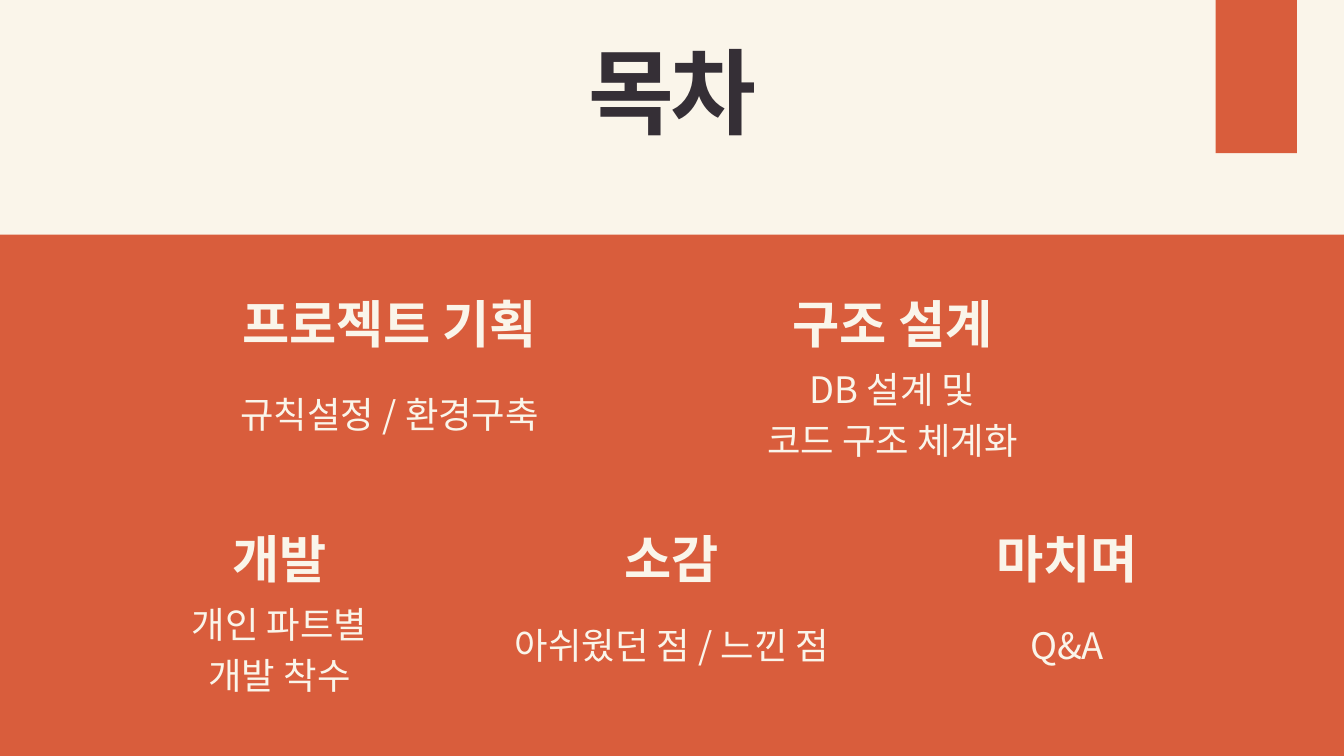
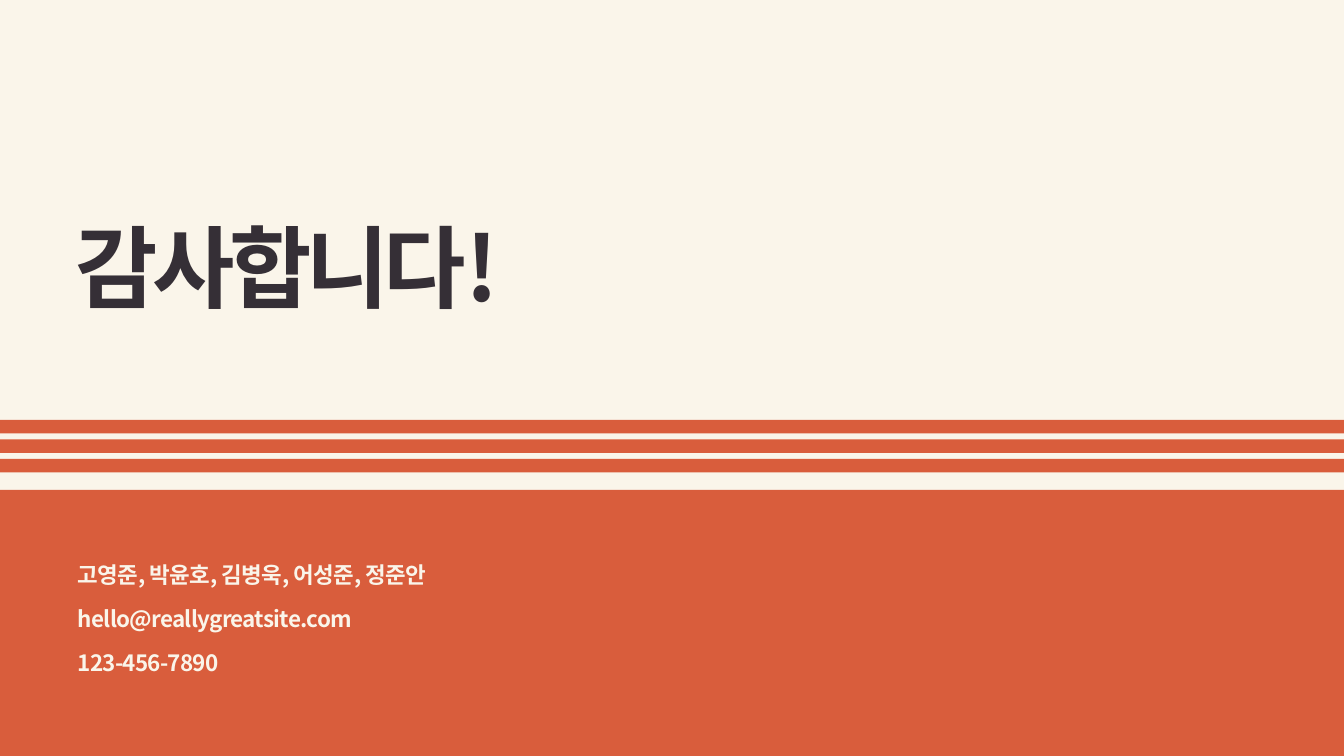
"""Build the contents slide and the closing slide of a project presentation."""
from dataclasses import dataclass

import pptx
import pptx.dml.color
import pptx.enum.shapes
import pptx.enum.text
import pptx.oxml.ns
import pptx.util
from lxml import etree

FONT = "Noto Sans CJK KR"
CREAM, ORANGE, INK = "FAF5EA", "D95D3C", "352F36"
COLS, ROWS = 20, 11.25
CELL = pptx.util.Inches(1)
TITLE_ONLY, TITLE_AND_BODY = 5, 1
CENTER = pptx.enum.text.PP_ALIGN.CENTER
LEFT = pptx.enum.text.PP_ALIGN.LEFT


@dataclass(frozen=True)
class Box:
    """Area in grid columns and rows."""
    col: float
    row: float
    cols: float
    rows: float

    def emu(self) -> list[int]:
        """Return left, top, width and height."""
        return [round(n * CELL) for n in (self.col, self.row, self.cols, self.rows)]


@dataclass(frozen=True)
class Topic:
    """Heading with a note centred below it."""
    center: float
    row: float
    heading: str
    note: tuple[str, ...]
    drop: float = 1.04
    heading_cols: float = 3.92
    note_cols: float = 3.92


UPPER, LOWER = 4.32, 7.81
TOPICS = (
    Topic(5.8, UPPER, "프로젝트 기획", ("규칙설정 / 환경구축",), 1.41, 4.47, 4.47),
    Topic(13.28, UPPER, "구조 설계", ("DB 설계 및", "코드 구조 체계화")),
    Topic(4.16, LOWER, "개발", ("개인 파트별", "개발 착수")),
    Topic(10, LOWER, "소감", ("아쉬웠던 점 / 느낀 점",), 1.36, note_cols=4.82),
    Topic(15.88, LOWER, "마치며", ("Q&A",), 1.36),
)
CONTACTS = ("고영준, 박윤호, 김병욱, 어성준, 정준안", "hello@reallygreatsite.com", "123-456-7890")


def rgb(color: str) -> pptx.dml.color.RGBColor:
    """Turn a hex string into a colour."""
    return pptx.dml.color.RGBColor.from_string(color)


def add_band(slide, box: Box) -> None:
    """Draw a plain orange rectangle behind the text."""
    sp = slide.shapes.add_shape(pptx.enum.shapes.MSO_SHAPE.RECTANGLE, *box.emu())
    sp.shadow.inherit = False
    sp.fill.solid()
    sp.fill.fore_color.rgb = rgb(ORANGE)
    sp.line.fill.background()
    slide.shapes._spTree.insert(2, sp._element)


def write(sp, box: Box, *lines: str, size: float, leading: float, color: str = CREAM,
          bold: bool = False, align=CENTER, tracking: float = 0, gap: float = 0) -> None:
    """Place a text shape and fill it with formatted paragraphs."""
    sp.left, sp.top, sp.width, sp.height = box.emu()
    tf = sp.text_frame
    tf.word_wrap = True
    tf.auto_size = pptx.enum.text.MSO_AUTO_SIZE.SHAPE_TO_FIT_TEXT
    tf.vertical_anchor = pptx.enum.text.MSO_ANCHOR.TOP
    tf.margin_left = tf.margin_top = tf.margin_right = tf.margin_bottom = 0
    for i, line in enumerate(lines):
        p = tf.add_paragraph() if i else tf.paragraphs[0]
        p.alignment = align
        p.line_spacing = pptx.util.Pt(leading)
        p.space_before = pptx.util.Pt(gap if i else 0)
        p.space_after = pptx.util.Pt(0)
        pPr = p._p.get_or_add_pPr()
        pPr.set("marL", "0")
        pPr.set("indent", "0")
        etree.SubElement(pPr, pptx.oxml.ns.qn("a:buNone"))
        r = p.add_run()
        r.text = line
        r.font.name = FONT
        r.font.size = pptx.util.Pt(size)
        r.font.bold = bold
        r.font.color.rgb = rgb(color)
        rPr = r._r.get_or_add_rPr()
        rPr.set("spc", str(round(tracking * 100)))
        etree.SubElement(rPr, pptx.oxml.ns.qn("a:ea"), typeface=FONT)


def add_text(slide, box: Box, *lines: str, **style) -> None:
    """Add a text box with formatted lines."""
    write(slide.shapes.add_textbox(*box.emu()), box, *lines, **style)


def add_topic(slide, topic: Topic) -> None:
    """Draw one topic of the contents."""
    heading = Box(topic.center - topic.heading_cols / 2, topic.row, topic.heading_cols, 0.96)
    note = Box(topic.center - topic.note_cols / 2, topic.row + topic.drop,
               topic.note_cols, 0.75 * len(topic.note))
    add_text(slide, heading, topic.heading, size=55, leading=68.2, bold=True)
    add_text(slide, note, *topic.note, size=39, leading=54.6)


def build_contents(prs) -> None:
    """Build the contents slide."""
    slide = prs.slides.add_slide(prs.slide_layouts[TITLE_ONLY])
    add_band(slide, Box(18.09, 0, 1.21, 2.28))
    add_band(slide, Box(0, 3.49, COLS, ROWS - 3.49))
    write(slide.shapes.title, Box(2.43, 0.71, 15.14, 1.54), "목차",
          size=100, leading=105, color=INK, bold=True, tracking=-4)
    for topic in TOPICS:
        add_topic(slide, topic)


def build_closing(prs) -> None:
    """Build the closing slide."""
    slide = prs.slides.add_slide(prs.slide_layouts[TITLE_AND_BODY])
    for i in range(3):
        add_band(slide, Box(0, 6.25 + 0.29 * i, COLS, 0.2))
    add_band(slide, Box(0, 7.29, COLS, ROWS - 7.29))
    write(slide.shapes.title, Box(1.12, 2.89, 11.13, 1.84), "감사합니다!",
          size=96, leading=134.4, color=INK, bold=True, align=LEFT, tracking=-5.8)
    write(slide.placeholders[1], Box(1.16, 8.29, 11.13, 1.76), *CONTACTS,
          size=24, leading=33.6, bold=True, align=LEFT, tracking=-0.8, gap=13.5)


def main() -> None:
    """Build and save the presentation."""
    prs = pptx.Presentation()
    prs.slide_width, prs.slide_height = Box(0, 0, COLS, ROWS).emu()[2:]
    fill = prs.slide_master.background.fill
    fill.solid()
    fill.fore_color.rgb = rgb(CREAM)
    build_contents(prs)
    build_closing(prs)
    prs.save("out.pptx")


if __name__ == "__main__":
    main()
